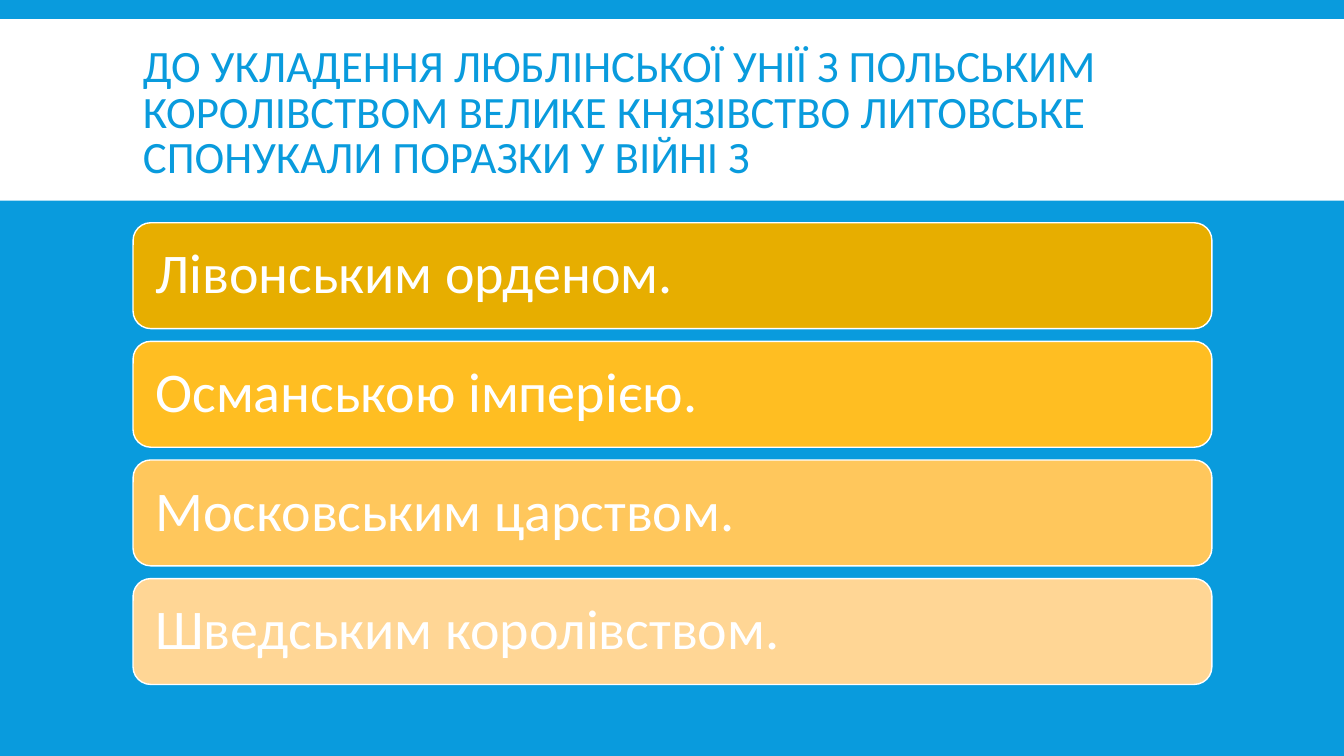
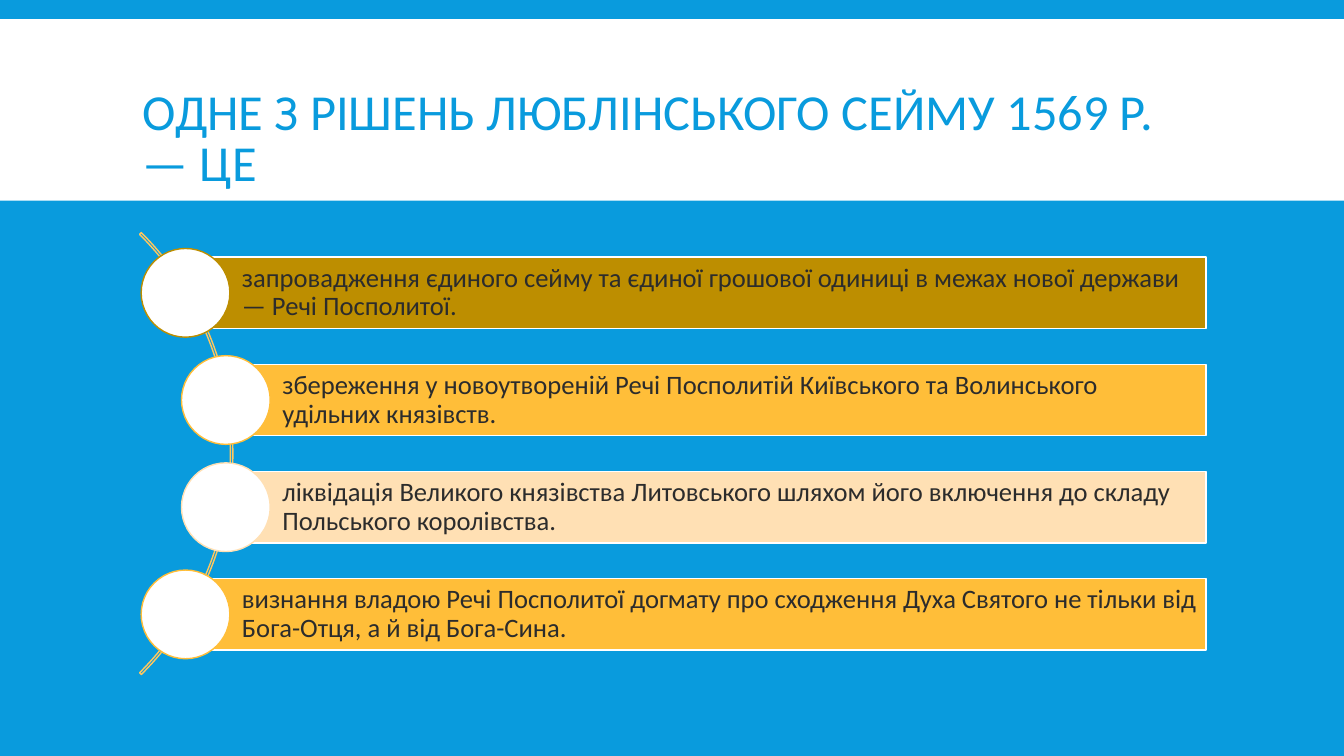
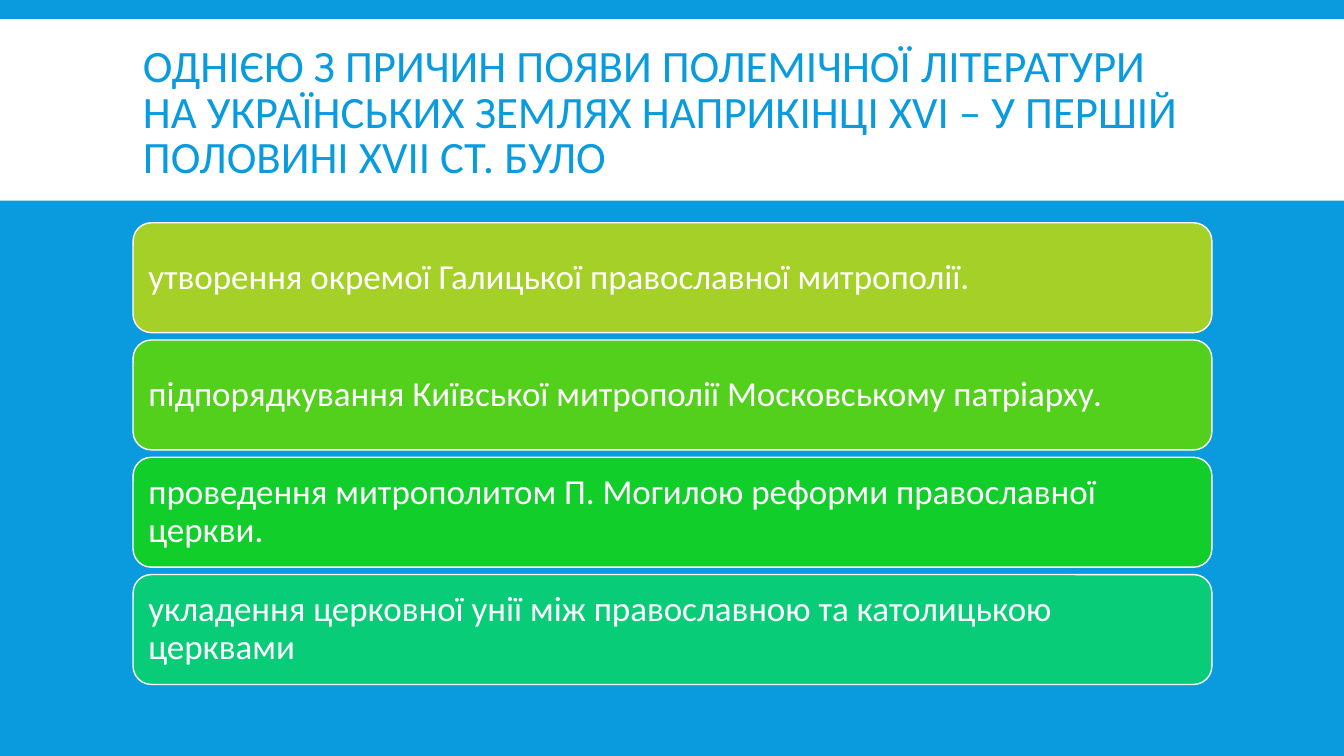
import pptx
import pptx.util
import pptx.dml.color
import pptx.enum.shapes
import pptx.enum.text

Inches = pptx.util.Inches
Pt = pptx.util.Pt
Kind = pptx.enum.shapes.MSO_SHAPE

FONT = "Calibri"
BLUE = "099BDD"
WHITE = "FFFFFF"
DARK = "2C2C2C"
SAND = "FFC75E"
LEFT, WIDTH = 1.32, 10.7


def color(code):
    return pptx.dml.color.RGBColor.from_string(code)


def spread(top, bottom, height, count):
    """Tops of equally spaced rows that fill the span exactly."""
    step = (bottom - top - height) / (count - 1)
    return [top + i * step for i in range(count)]


class Deck:
    def __init__(self):
        self.deck = pptx.Presentation()
        self.deck.slide_width = Inches(13.33)
        self.deck.slide_height = Inches(7.5)
        self.slide = None

    def page(self, title, size, drop=0):
        """Start a slide; drop lowers the top margin of its title."""
        self.slide = self.deck.slides.add_slide(self.deck.slide_layouts[6])
        fill = self.slide.background.fill
        fill.solid()
        fill.fore_color.rgb = color(BLUE)
        self.shape(Kind.RECTANGLE, (0, 0.19, 13.33, 1.8), WHITE)
        box = self.slide.shapes.add_textbox(
            *map(Inches, (LEFT, 0.31, WIDTH, 1.65)))
        self.label(box, title, size, BLUE, (0.1, 0.05 + drop, 0.1, 0.05), 0.85)

    def shape(self, kind, at, fill=None, line=None):
        shape = self.slide.shapes.add_shape(kind, *map(Inches, at))
        shape.shadow.inherit = False
        if fill:
            shape.fill.solid()
            shape.fill.fore_color.rgb = color(fill)
        else:
            shape.fill.background()
        if line:
            shape.line.color.rgb = color(line)
            shape.line.width = Pt(1)
        else:
            shape.line.fill.background()
        return shape

    def label(self, shape, text, size, ink, pads, lead=0.9):
        """Fill a shape with one left-aligned, vertically centred paragraph."""
        frame = shape.text_frame
        frame.word_wrap = True
        frame.vertical_anchor = pptx.enum.text.MSO_ANCHOR.MIDDLE
        (frame.margin_left, frame.margin_top,
         frame.margin_right, frame.margin_bottom) = map(Inches, pads)
        para = frame.paragraphs[0]
        para.alignment = pptx.enum.text.PP_ALIGN.LEFT
        para.line_spacing = lead
        run = para.add_run()
        run.text = text
        run.font.name = FONT
        run.font.size = Pt(size)
        run.font.color.rgb = color(ink)

    def cards(self, items, height, size, pad):
        """Stack rounded answer cards."""
        tops = spread(2.21, 6.79, height, len(items))
        for top, (text, fill) in zip(tops, items):
            card = self.shape(Kind.ROUNDED_RECTANGLE,
                              (LEFT, top, WIDTH, height), fill, WHITE)
            self.label(card, text, size, WHITE, (pad,) * 4)

    def curve(self, items):
        """Place answer bars with round knobs along an arc."""
        arc = self.shape(Kind.BLOCK_ARC, (-3.89, 1.4, 6.2, 6.2), line=SAND)
        for i, value in enumerate((189, 27, 0.004)):
            arc.adjustments[i] = value
        high, knob, right = 0.71, 0.88, 11.96
        tops = spread(2.55, 6.45, high, len(items))
        for top, (text, fill, left) in zip(tops, items):
            bar = self.shape(Kind.RECTANGLE,
                             (left, top, right - left, high), fill, WHITE)
            self.label(bar, text, 19, DARK, (0.56, 0.05, 0.05, 0.05))
            self.shape(Kind.OVAL, (left - knob / 2, top + (high - knob) / 2,
                                   knob, knob), WHITE, fill)


def main():
    deck = Deck()

    deck.page("ДО УКЛАДЕННЯ ЛЮБЛІНСЬКОЇ УНІЇ З ПОЛЬСЬКИМ КОРОЛІВСТВОМ "
              "ВЕЛИКЕ КНЯЗІВСТВО ЛИТОВСЬКЕ СПОНУКАЛИ ПОРАЗКИ У ВІЙНІ З", 32)
    deck.cards([
        ("Лівонським орденом.", "E7AE00"),
        ("Османською імперією.", "FFBE22"),
        ("Московським царством.", "FFC75C"),
        ("Шведським королівством.", "FFD695"),
    ], 1.05, 40, 0.17)

    deck.page("ОДНЕ З РІШЕНЬ ЛЮБЛІНСЬКОГО СЕЙМУ 1569 Р. — ЦЕ", 36, 0.52)
    deck.curve([
        ("запровадження єдиного сейму та єдиної грошової одиниці в межах "
         "нової держави — Речі Посполитої.", "BD8E00", 1.84),
        ("збереження у новоутвореній Речі Посполитій Київського та "
         "Волинського удільних князівств.", "FFBE39", 2.24),
        ("ліквідація Великого князівства Литовського шляхом його включення "
         "до складу Польського королівства.", "FFE0B4", 2.24),
        ("визнання владою Речі Посполитої догмату про сходження Духа Святого "
         "не тільки від Бога-Отця, а й від Бога-Сина.", "FFBE39", 1.84),
    ])

    deck.page("ОДНІЄЮ З ПРИЧИН ПОЯВИ ПОЛЕМІЧНОЇ ЛІТЕРАТУРИ НА УКРАЇНСЬКИХ "
              "ЗЕМЛЯХ НАПРИКІНЦІ XVI – У ПЕРШІЙ ПОЛОВИНІ XVII СТ. БУЛО", 32)
    deck.cards([
        ("утворення окремої Галицької православної митрополії.", "A5D028"),
        ("підпорядкування Київської митрополії Московському патріарху.",
         "53D01C"),
        ("проведення митрополитом П. Могилою реформи православної церкви.",
         "12CE2B"),
        ("укладення церковної унії між православною та католицькою церквами",
         "08CC78"),
    ], 1.09, 25, 0.1)

    deck.deck.save("out.pptx")


if __name__ == "__main__":
    main()
